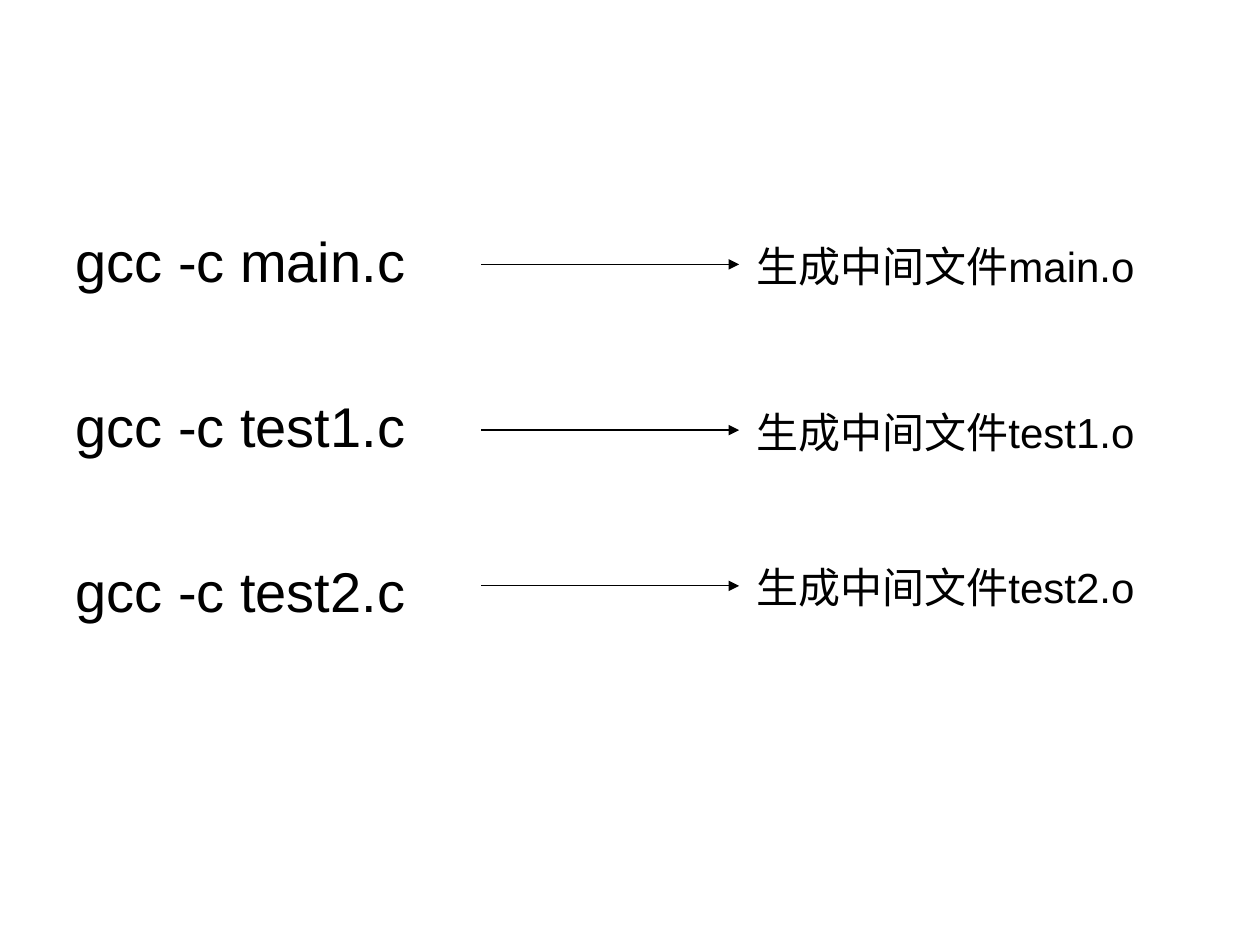
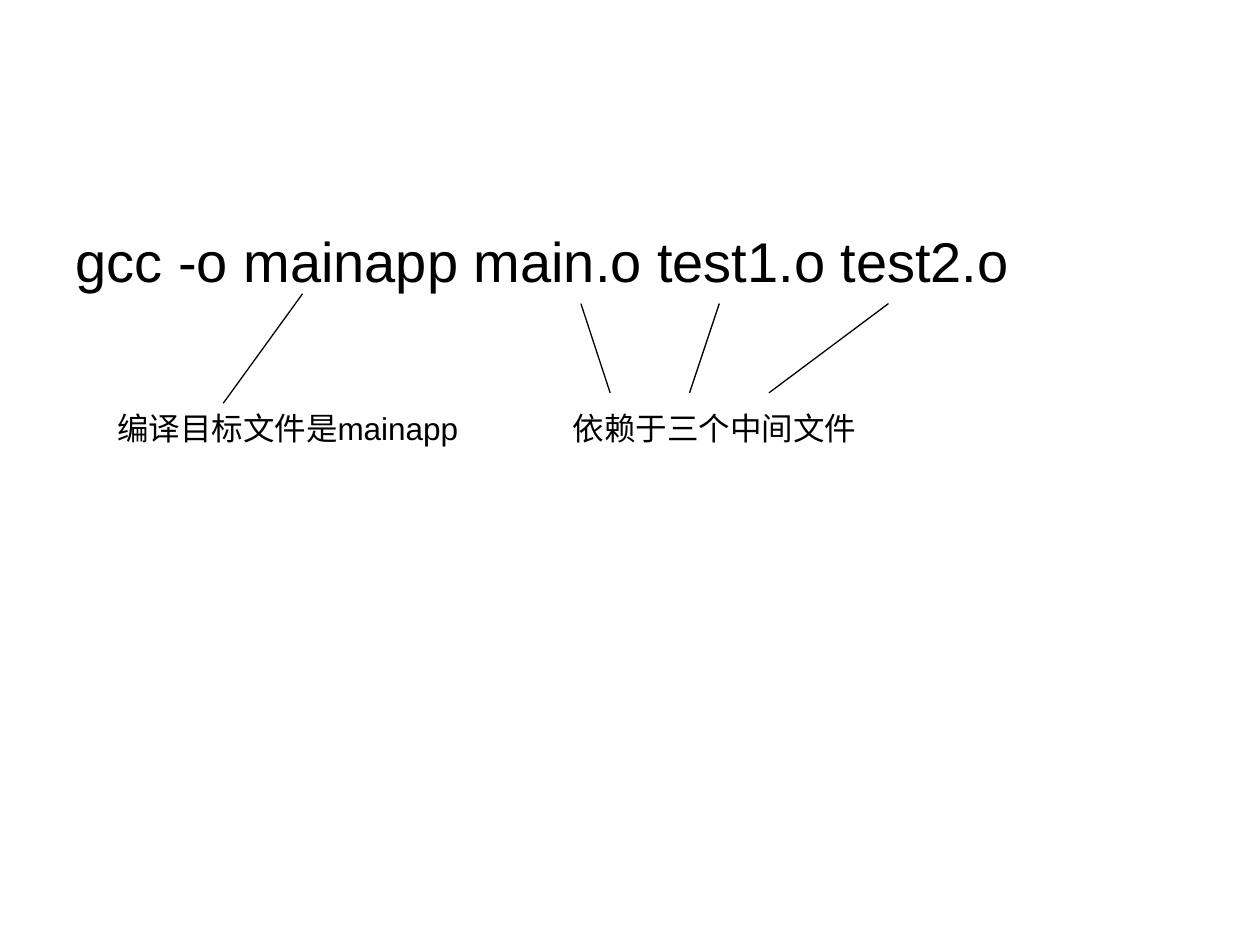
from pptx import Presentation
from pptx import util as u
from pptx.dml.color import RGBColor
from pptx.enum import shapes, text
from pptx.oxml import parse_xml
from pptx.oxml.ns import nsdecls

# Shared style
FONT = "Arial"
INK = "000000"
COMMAND_SIZE = 32
COMMAND_BOX = (1.27, 4.45, 22.86, 12.57)


def colour(value):
    return RGBColor.from_string(value)


def add_text(slide, lines, left, top, width, height, size=18, gap=0):
    """Add a text box with one paragraph per line, gap points apart."""
    shape = slide.shapes.add_textbox(*map(u.Cm, (left, top, width, height)))
    frame = shape.text_frame
    frame.word_wrap = True
    frame.vertical_anchor = text.MSO_ANCHOR.TOP
    for index, line in enumerate(lines):
        paragraph = frame.paragraphs[0] if index == 0 else frame.add_paragraph()
        paragraph.space_before = u.Pt(gap if index else 0)
        run = paragraph.add_run()
        run.text = line
        run.font.name = FONT
        run.font.size = u.Pt(size)
        run.font.color.rgb = colour(INK)
    return shape


def add_line(slide, x1, y1, x2, y2, arrow=False):
    line = slide.shapes.add_connector(
        shapes.MSO_CONNECTOR.STRAIGHT, *map(u.Cm, (x1, y1, x2, y2)))
    line.line.color.rgb = colour(INK)
    line.line.width = u.Pt(0.75)
    if arrow:
        line.line._get_or_add_ln().append(
            parse_xml(f'<a:tailEnd {nsdecls("a")} type="triangle"/>'))
    line._element.spPr.append(parse_xml(f'<a:effectLst {nsdecls("a")}/>'))


def build_compile_slide(slide):
    # Each source file is compiled to an object file
    rows = [("main", 4.72, 5.33), ("test1", 8.08, 8.67), ("test2", 11.2, 11.81)]
    add_text(slide, [f"gcc -c {name}.c" for name, *_ in rows], *COMMAND_BOX,
             size=COMMAND_SIZE, gap=55.8)
    for name, label_top, arrow_y in rows:
        add_text(slide, [f"生成中间文件{name}.o"], 15, label_top, 8.6, 1.27, size=24)
        add_line(slide, 9.7, arrow_y, 14.9, arrow_y, arrow=True)


def build_link_slide(slide):
    # The link command with its target and dependencies
    add_text(slide, ["gcc -o mainapp main.o test1.o test2.o"], *COMMAND_BOX,
             size=COMMAND_SIZE)
    for label, left in (("编译目标文件是mainapp", 2.11), ("依赖于三个中间文件", 11.3)):
        add_text(slide, [label], left, 8.13, 9.93, 1.02)

    # Lines from the command down to the labels
    add_line(slide, 6.1, 5.92, 4.5, 8.13)
    for command_x, label_x in ((11.71, 12.3), (14.5, 13.9), (17.91, 15.5)):
        add_line(slide, command_x, 6.12, label_x, 7.92)


def main():
    presentation = Presentation()
    presentation.slide_width = u.Cm(25.4)
    presentation.slide_height = u.Cm(19.05)
    blank = presentation.slide_layouts[6]
    for build in (build_compile_slide, build_link_slide):
        build(presentation.slides.add_slide(blank))
    presentation.save("out.pptx")


if __name__ == "__main__":
    main()
